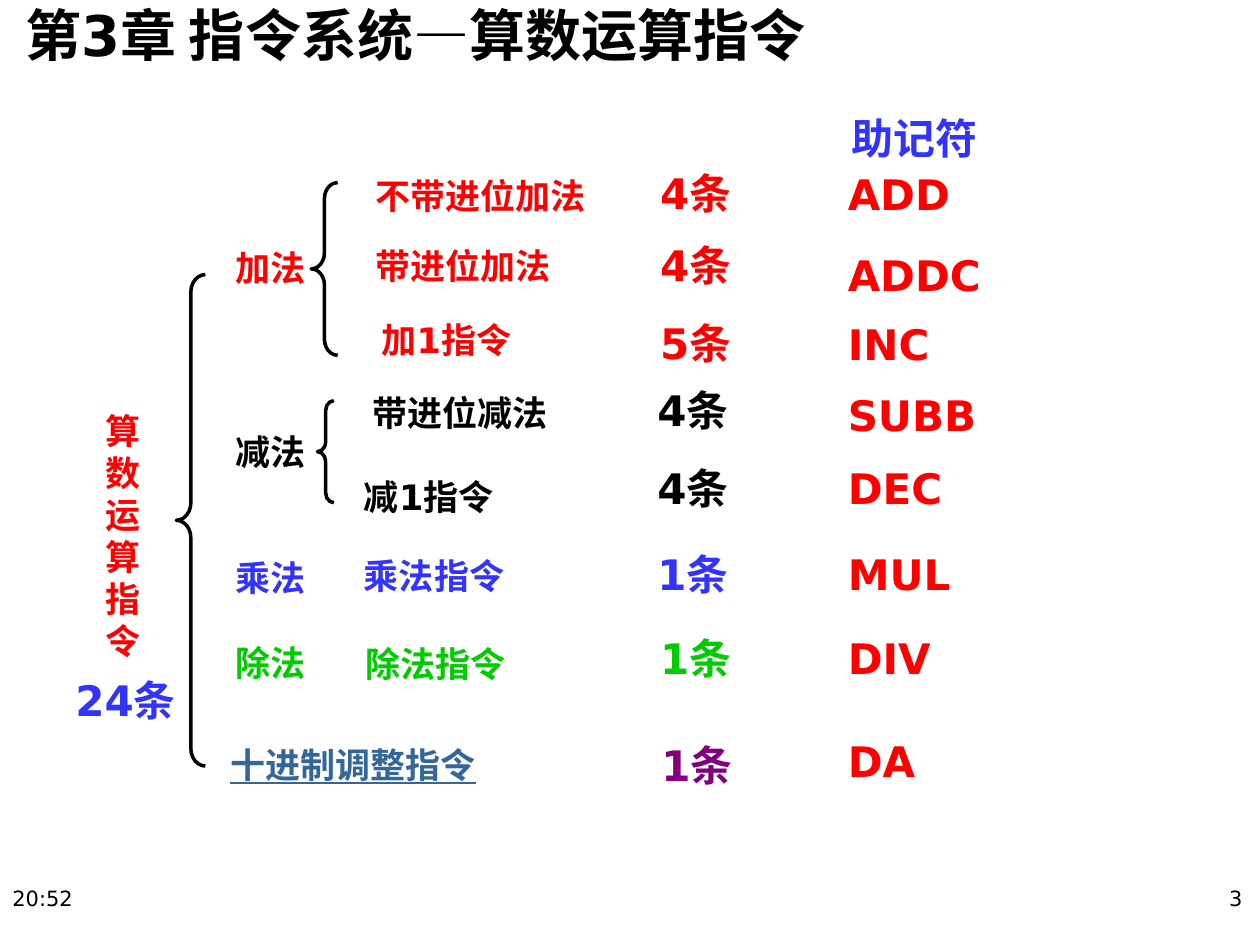
from pptx import Presentation
from pptx.dml.color import RGBColor
from pptx.enum.shapes import MSO_SHAPE
from pptx.enum.text import MSO_ANCHOR, PP_ALIGN
from pptx.oxml.ns import qn
from pptx.util import Inches, Pt

LEFT_BRACE = MSO_SHAPE.LEFT_BRACE
TOP, BOTTOM = MSO_ANCHOR.TOP, MSO_ANCHOR.BOTTOM
LEFT, RIGHT = PP_ALIGN.LEFT, PP_ALIGN.RIGHT
RED, BLUE, GREEN, BLACK = "FF0000", "3333FF", "00CC00", "000000"
PURPLE, STEEL = "800080", "336699"
COLUMNS, ROWS = 100, 75
LINE_ROWS = 5.2
MNEMONIC_COLUMN = 66.3


def color(hex_string):
    return RGBColor.from_string(hex_string)


class SlideBuilder:
    """Draws on one slide; boxes are (column, row, columns, rows) of the grid."""

    latin_font = "DejaVu Sans"
    chinese_font = "Noto Sans CJK SC"

    def __init__(self, presentation):
        self.column = presentation.slide_width / COLUMNS
        self.row = presentation.slide_height / ROWS
        self.slide = presentation.slides.add_slide(presentation.slide_layouts[6])

    def place(self, box):
        column, row, columns, rows = box
        return (round(column * self.column), round(row * self.row),
                round(columns * self.column), round(rows * self.row))

    def text(self, content, box, hex_color=BLACK, size=20, bold=True,
             underline=None, anchor=BOTTOM, align=LEFT, insets=None):
        frame = self.slide.shapes.add_textbox(*self.place(box)).text_frame
        frame.word_wrap = True
        frame.vertical_anchor = anchor
        if insets:
            (frame.margin_left, frame.margin_top,
             frame.margin_right, frame.margin_bottom) = map(Inches, insets)
        paragraph = frame.paragraphs[0]
        paragraph.alignment = align
        run = paragraph.add_run()
        run.text = content
        font = run.font
        font.size, font.bold, font.underline = Pt(size), bold, underline
        font.color.rgb = color(hex_color)
        font.name = self.latin_font
        east_asian = run._r.get_or_add_rPr().makeelement(
            qn("a:ea"), {"typeface": self.chinese_font})
        run._r.rPr.append(east_asian)

    def brace(self, box):
        shape = self.slide.shapes.add_shape(LEFT_BRACE, *self.place(box))
        shape.shadow.inherit = False
        shape.adjustments[0], shape.adjustments[1] = 0.604, 0.5
        shape.fill.background()
        shape.line.color.rgb = color(BLACK)
        shape.line.width = Pt(2)


# text, column, row, colour
GROUPS = [
    ("加法", 17.7, 18.2, RED),
    ("减法", 17.7, 32.8, BLACK),
    ("乘法", 17.7, 42.8, BLUE),
    ("除法", 17.7, 49.5, GREEN),
]
INSTRUCTIONS = [
    ("不带进位加法", 28.8, 12.5, RED),
    ("带进位加法", 28.8, 18, RED),
    ("加1指令", 29.3, 23.9, RED),
    ("带进位减法", 28.6, 29.7, BLACK),
    ("减1指令", 27.9, 36.4, BLACK),
    ("乘法指令", 27.9, 42.6, BLUE),
    ("除法指令", 28, 49.6, GREEN),
]
COUNTS = [
    ("4条", 51.4, 12.6, RED),
    ("4条", 51.4, 18.3, RED),
    ("5条", 51.4, 24.5, RED),
    ("4条", 51.2, 29.8, BLACK),
    ("4条", 51.2, 36, BLACK),
    ("1条", 51.2, 42.8, BLUE),
    ("1条", 51.4, 49.5, GREEN),
    ("1条", 51.5, 58, PURPLE),
    ("24条", 5, 52.8, BLUE),
]
MNEMONICS = [("ADD", 12.7), ("ADDC", 19.1), ("INC", 24.6), ("SUBB", 30.2),
             ("DEC", 36), ("MUL", 42.8), ("DIV", 49.5), ("DA", 57.7)]
BRACES = [(14, 21.8, 2.3, 39), (24.7, 14.5, 2.1, 13.7), (25.2, 31.8, 1.3, 8.1)]


def main():
    presentation = Presentation()
    presentation.slide_width, presentation.slide_height = Inches(10), Inches(7.5)
    builder = SlideBuilder(presentation)

    builder.text("20:52", (0, 69.8, 21.7, LINE_ROWS), size=12, bold=False, anchor=TOP)
    builder.text("3", (77.9, 69.8, 21.7, LINE_ROWS), size=12, bold=False,
                 anchor=TOP, align=RIGHT)
    builder.text("第3章 指令系统—算数运算指令", (0, 0, 72.8, 7.8), size=32,
                 anchor=TOP, insets=(0.2, 0, 0, 0))

    # The narrow box wraps after every character.
    builder.text("算数运算指令", (7.4, 29.9, 4.4, 23.1), RED)
    builder.text("十进制调整指令", (17.3, 59, 28.9, 3.8), STEEL, underline=True)
    builder.text("助记符", (66.6, 8.2, 12.5, LINE_ROWS), BLUE, size=24)

    for labels, width, size in ((GROUPS, 8.8, 20), (INSTRUCTIONS, 21.2, 20),
                                (COUNTS, 11, 24)):
        for content, column, row, hex_color in labels:
            builder.text(content, (column, row, width, LINE_ROWS), hex_color, size)
    for mnemonic, row in MNEMONICS:
        builder.text(mnemonic, (MNEMONIC_COLUMN, row, 15.8, LINE_ROWS), RED, size=24)
    for box in BRACES:
        builder.brace(box)

    presentation.save("out.pptx")


if __name__ == "__main__":
    main()
